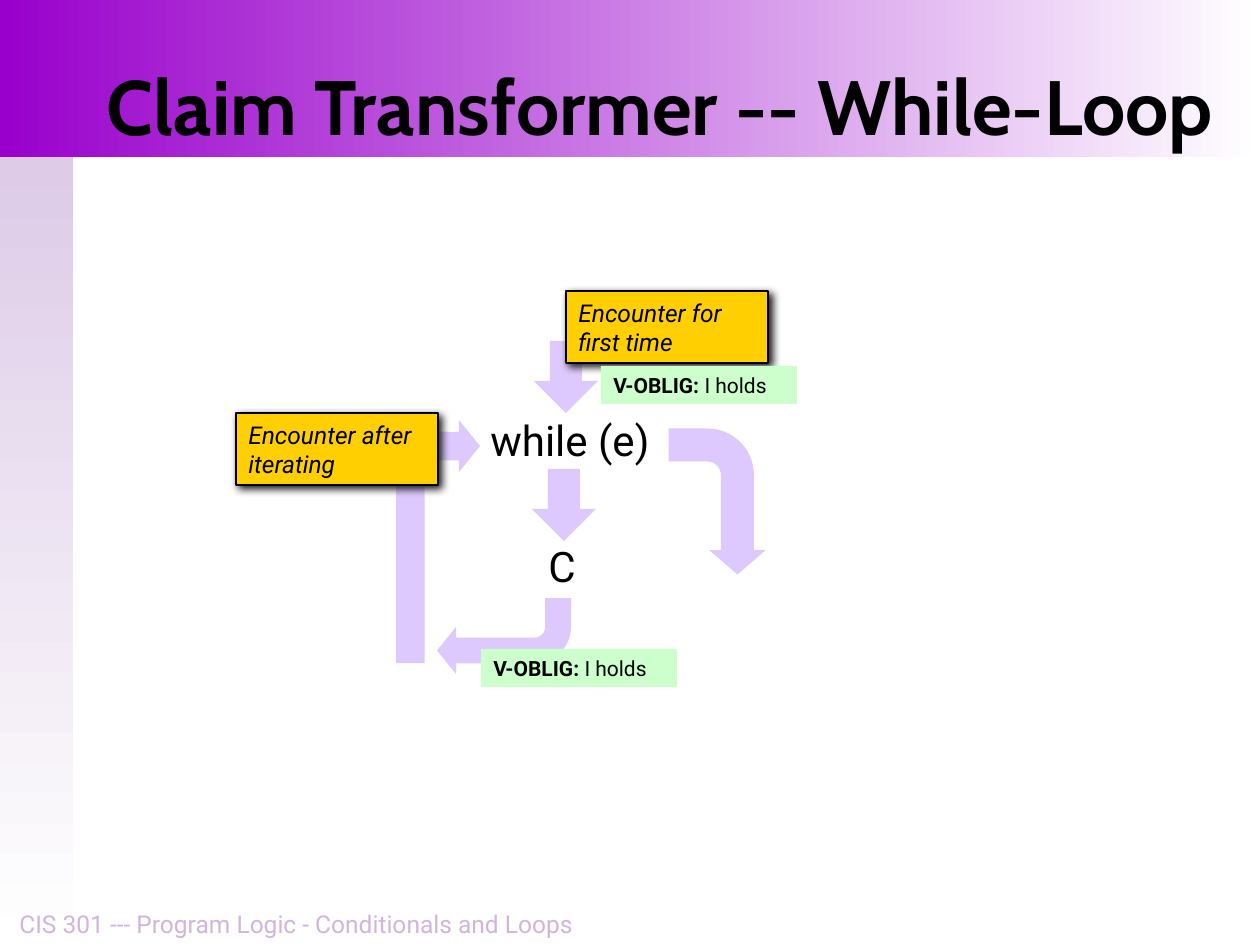
from lxml import etree
from pptx import Presentation
from pptx import util as u
from pptx.dml.color import RGBColor
from pptx.enum import shapes, text
from pptx.oxml.ns import qn

PX = 914400 / 126
ARROW = "DEC9FF"
SHAPE = shapes.MSO_SHAPE
ANCHOR = text.MSO_ANCHOR


def px(value):
    return u.Emu(round(value * PX))


def colour(code):
    return RGBColor.from_string(code)


def write(box, *spans, size, font="Roboto", ink="000000", bold=False, italic=False,
          align=text.PP_ALIGN.LEFT, anchor=ANCHOR.TOP):
    """Fill one paragraph; a span is a string or a (string, bold) pair."""
    frame = box.text_frame
    frame.word_wrap = True
    frame.auto_size = text.MSO_AUTO_SIZE.NONE
    frame.vertical_anchor = anchor
    para = frame.paragraphs[0]
    para.alignment = align
    for item in spans:
        words, weight = (item, bold) if isinstance(item, str) else item
        span = para.add_run()
        span.text = words
        span.font.size = u.Pt(size)
        span.font.name = font
        span.font.bold = weight
        span.font.italic = italic
        span.font.color.rgb = colour(ink)


def add_box(page, kind, frame, fill=None):
    box = page.shapes.add_shape(kind, *map(px, frame))
    box.shadow.inherit = False
    box.line.fill.background()
    if fill:
        box.fill.solid()
        box.fill.fore_color.rgb = colour(fill)
    return box


def add_band(page, frame, start, angle):
    band = add_box(page, SHAPE.RECTANGLE, frame)
    band.fill.gradient()
    band.fill.gradient_angle = angle
    for stop, code in zip(band.fill.gradient_stops, (start, "FFFFFF")):
        stop.color.rgb = colour(code)


def add_arrow(page, kind, frame, adjustments, rotation=0):
    arrow = add_box(page, kind, frame, ARROW)
    arrow.rotation = rotation
    for index, value in enumerate(adjustments):
        arrow.adjustments[index] = value


def add_text(page, frame, words, **style):
    write(page.shapes.add_textbox(*map(px, frame)), words, **style)


def add_callout(page, left, top, words):
    box = add_box(page, SHAPE.RECTANGLE, (left, top, 202, 72), "FFCF01")
    box.line.color.rgb = colour("000000")
    box.line.width = u.Pt(1)
    write(box, words, size=14, italic=True, anchor=ANCHOR.MIDDLE)
    effects = box._element.spPr.find(qn("a:effectLst"))
    shadow = etree.SubElement(effects, qn("a:outerShdw"), blurRad="63500",
                              dist="35560", dir="2700000", algn="ctr", rotWithShape="0")
    etree.SubElement(shadow, qn("a:srgbClr"), val="1C1C1C")


def add_obligation(page, left, top):
    box = add_box(page, SHAPE.RECTANGLE, (left, top, 196, 38), "CCFFCC")
    write(box, ("V-OBLIG:", True), " I holds", size=12)


def main():
    deck = Presentation()
    deck.slide_width, deck.slide_height = px(1260), px(945)
    page = deck.slides.add_slide(deck.slide_layouts[5])

    # Background bands, behind the title
    add_band(page, (0, 157, 73, 788), "DDCBE7", 270)
    add_band(page, (0, 0, 1260, 157), "9900CC", 0)

    # Title and footer
    title = page.shapes.title
    title.left, title.top, title.width, title.height = map(px, (94, 0, 1148, 157))
    write(title, "Claim Transformer -- While-Loop", size=44, font="Cabin",
          bold=True, anchor=ANCHOR.BOTTOM)
    page.shapes._spTree.append(title._element)
    add_text(page, (0, 903, 593, 42), "CIS 301 --- Program Logic - Conditionals and Loops",
             size=14, ink="D0B6DE", align=text.PP_ALIGN.CENTER, anchor=ANCHOR.BOTTOM)

    # Loop statement and body
    add_text(page, (478, 408, 190, 63), "while (e)", size=24)
    add_text(page, (536, 534, 50, 64), "C", size=24)

    # Control flow
    for left, top in ((532, 469), (534, 341)):
        add_arrow(page, SHAPE.DOWN_ARROW, (left, top, 64, 72), (0.5, 0.5))
    back_bend = (0.34, 0.31, 0.25, 0.48)
    exit_bend = (0.34, 0.29, 0.25, 0.48)
    add_arrow(page, SHAPE.BENT_ARROW, (437, 598, 134, 76), back_bend, 180)
    add_arrow(page, SHAPE.BENT_ARROW, (396, 420, 84, 243), back_bend)
    add_arrow(page, SHAPE.BENT_ARROW, (644, 453, 146, 97), exit_bend, 90)

    # Annotations
    add_callout(page, 236, 413, "Encounter after iterating")
    add_callout(page, 566, 291, "Encounter for first time")
    add_obligation(page, 601, 366)
    add_obligation(page, 481, 649)

    deck.save("out.pptx")


if __name__ == "__main__":
    main()
